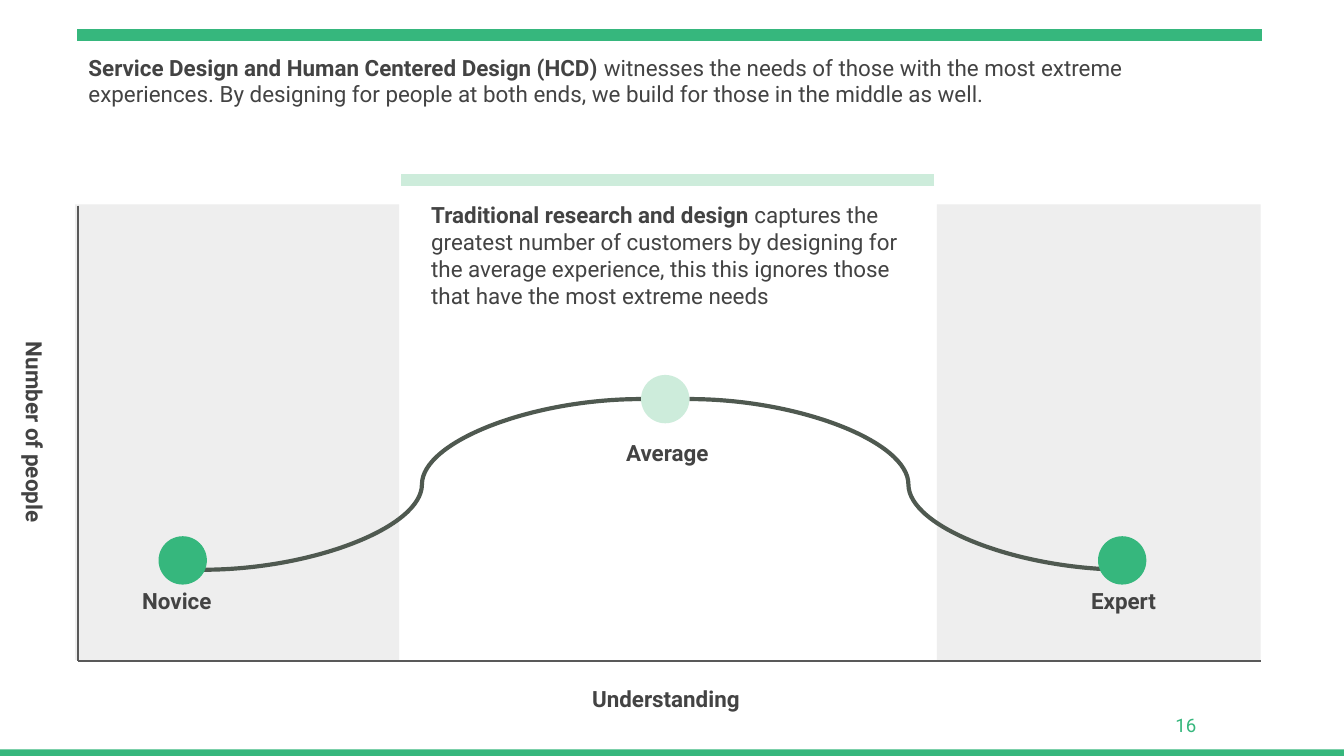
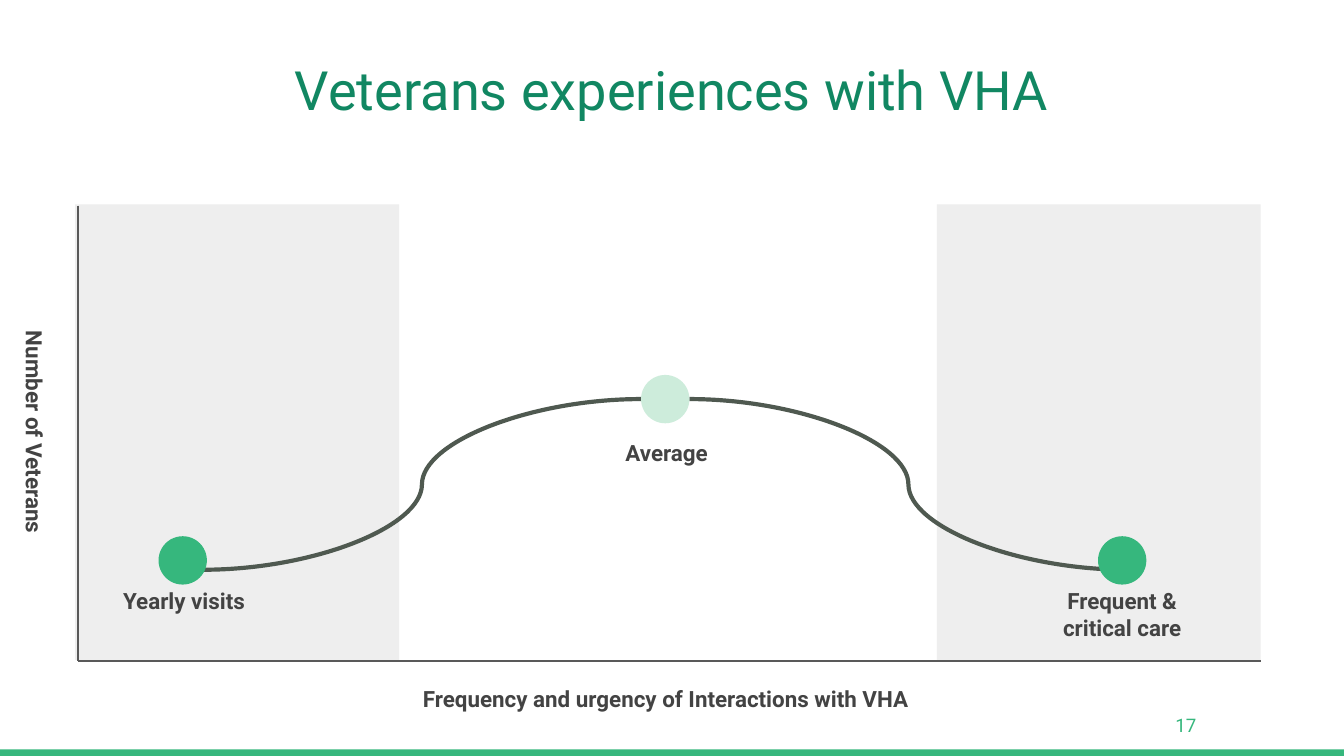
from lxml import etree
from pptx import Presentation
from pptx import util as u
from pptx.dml.color import RGBColor
from pptx.enum import shapes, text
from pptx.oxml.ns import qn

# Shared style
FONT = "Roboto"
GREEN = RGBColor(0x36, 0xB7, 0x7D)
DARK_GREEN = RGBColor(0x11, 0x87, 0x62)
PALE_GREEN = RGBColor(0xCD, 0xEC, 0xDB)
PALE_GREY = RGBColor(0xEE, 0xEE, 0xEE)
CURVE_GREY = RGBColor(0x4F, 0x59, 0x50)
AXIS_GREY = RGBColor(0x59, 0x59, 0x59)
TEXT_GREY = RGBColor(0x43, 0x43, 0x43)
LEFT, CENTER, RIGHT = (text.PP_ALIGN.LEFT, text.PP_ALIGN.CENTER,
                       text.PP_ALIGN.RIGHT)
RECTANGLE, OVAL = shapes.MSO_SHAPE.RECTANGLE, shapes.MSO_SHAPE.OVAL
STRAIGHT, CURVE = shapes.MSO_CONNECTOR.STRAIGHT, shapes.MSO_CONNECTOR.CURVE

presentation = Presentation()
presentation.slide_width = u.Inches(10)
presentation.slide_height = u.Inches(5.625)

# All lengths are percent of the slide's width
PERCENT = presentation.slide_width / 100
BAND_TOP, BAND_WIDTH, BAND_HEIGHT = 15.2, 24.1, 33.9
BAND_LEFTS = (5.6, 69.7)
AXIS_LEFT, AXIS_RIGHT, AXIS_TOP, AXIS_BOTTOM = 5.8, 93.8, 15.3, 49.2
DOT = 3.6
CURVE_BOTTOM, CURVE_TOP = 42.4, 29.7
DOTS = ((11.8, 39.9, GREEN), (81.7, 39.9, GREEN), (47.7, 27.9, PALE_GREEN))
LABEL_TOP, LABEL_WIDTH, LABEL_HEIGHT = 42.7, 14.4, 4.3
AVERAGE_TOP, AXIS_TITLE_TOP = 31.7, 50


def add_filled(slide, kind, box, color):
    shape = slide.shapes.add_shape(kind, *(round(v * PERCENT) for v in box))
    shape.shadow.inherit = False
    shape.fill.solid()
    shape.fill.fore_color.rgb = color
    shape.line.fill.background()


def add_text(slide, box, runs, align=CENTER, size=12, color=TEXT_GREY):
    """Add a text box from (wording, bold) runs."""
    shape = slide.shapes.add_textbox(*(round(v * PERCENT) for v in box))
    frame = shape.text_frame
    frame.word_wrap = True
    frame.margin_left = frame.margin_right = u.Inches(0.1)
    frame.margin_top = frame.margin_bottom = u.Inches(0.1)
    paragraph = frame.paragraphs[0]
    paragraph.alignment = align
    for wording, bold in runs:
        run = paragraph.add_run()
        run.text = wording
        run.font.name, run.font.size, run.font.bold = FONT, u.Pt(size), bold
        run.font.color.rgb = color
    return shape


# Lines on every slide: kind, from x, from y, to x, to y, colour, points
chart_lines = [
    (CURVE, 15.1, CURVE_BOTTOM, 47.7, CURVE_TOP, CURVE_GREY, 2.25),
    (CURVE, 83.9, CURVE_BOTTOM, 51.3, CURVE_TOP, CURVE_GREY, 2.25),
    (STRAIGHT, AXIS_LEFT, AXIS_TOP, AXIS_LEFT, AXIS_BOTTOM, AXIS_GREY, 0.75),
    (STRAIGHT, AXIS_RIGHT, AXIS_BOTTOM, AXIS_LEFT, AXIS_BOTTOM, AXIS_GREY, 0.75),
]
accent_lines = [
    (STRAIGHT, 69.5, 13.4, 29.8, 13.4, PALE_GREEN, 6),
    (STRAIGHT, 93.9, 2.6, 5.7, 2.6, GREEN, 6),
]

# Per slide: number, extra lines, label alignment,
# labels (wording, left, top, width), x title (wording, left, width), y title
slide_contents = [
    (16, accent_lines, LEFT,
     [("Novice", 9.6, LABEL_TOP, LABEL_WIDTH),
      ("Expert", 80.2, LABEL_TOP, LABEL_WIDTH),
      ("Average", 45.6, AVERAGE_TOP, 9.6)],
     ("Understanding", 40.6, 17.9), "Number of people"),
    (17, [], CENTER,
     [("Yearly visits", 6.5, LABEL_TOP, LABEL_WIDTH),
      ("Frequent & critical care", 76.3, LABEL_TOP, LABEL_WIDTH),
      ("Average", 42.4, AVERAGE_TOP, LABEL_WIDTH)],
     ("Frequency and urgency of Interactions with VHA", 29.4, 40.3),
     "Number of Veterans"),
]

for number, extra_lines, align, labels, x_title, y_title in slide_contents:
    slide = presentation.slides.add_slide(presentation.slide_layouts[6])

    # Footer band, page number and the two shaded ends
    add_filled(slide, RECTANGLE, (0, 55.75, 100, 0.5), GREEN)
    page = add_text(slide, (84, 51.8, 6, 4.3), [(str(number), False)],
                    RIGHT, 10, GREEN)
    page.text_frame.vertical_anchor = text.MSO_ANCHOR.MIDDLE
    for left in BAND_LEFTS:
        add_filled(slide, RECTANGLE,
                   (left, BAND_TOP, BAND_WIDTH, BAND_HEIGHT), PALE_GREY)

    # Curve, axes and accent lines
    for kind, *ends, color, points in chart_lines + extra_lines:
        line = slide.shapes.add_connector(
            kind, *(round(v * PERCENT) for v in ends))
        line.line.color.rgb = color
        line.line.width = u.Pt(points)
        etree.SubElement(line._element.spPr, qn("a:effectLst"))

    # Dots and their labels
    for left, top, color in DOTS:
        add_filled(slide, OVAL, (left, top, DOT, DOT), color)
    for wording, left, top, width in labels:
        add_text(slide, (left, top, width, LABEL_HEIGHT),
                 [(wording, True)], align)

    # Axis titles
    wording, left, width = x_title
    add_text(slide, (left, AXIS_TITLE_TOP, width, LABEL_HEIGHT),
             [(wording, True)])
    add_text(slide, (-7.6, 28.9, 17.9, 6.5), [(y_title, True)]).rotation = 90

# Statements on the first slide
method_slide, veterans_slide = presentation.slides
add_text(method_slide, (31.1, 14, 37.1, 12), [
    ("Traditional research and design ", True),
    ("captures the greatest number of customers by designing for the average "
     "experience, this this ignores those that have the most extreme needs",
     False)], LEFT)
add_text(method_slide, (5.6, 3, 88.2, 12), [
    ("Service Design and Human Centered Design (HCD) ", True),
    ("witnesses the needs of those with the most extreme experiences. By "
     "designing for people at both ends, we build for those in the middle "
     "as well.", False)], LEFT)

# Title of the second slide
add_text(veterans_slide, (10, 3.2, 80, 6.3),
         [("Veterans experiences with VHA", False)],
         size=29, color=DARK_GREEN)

presentation.save("out.pptx")
